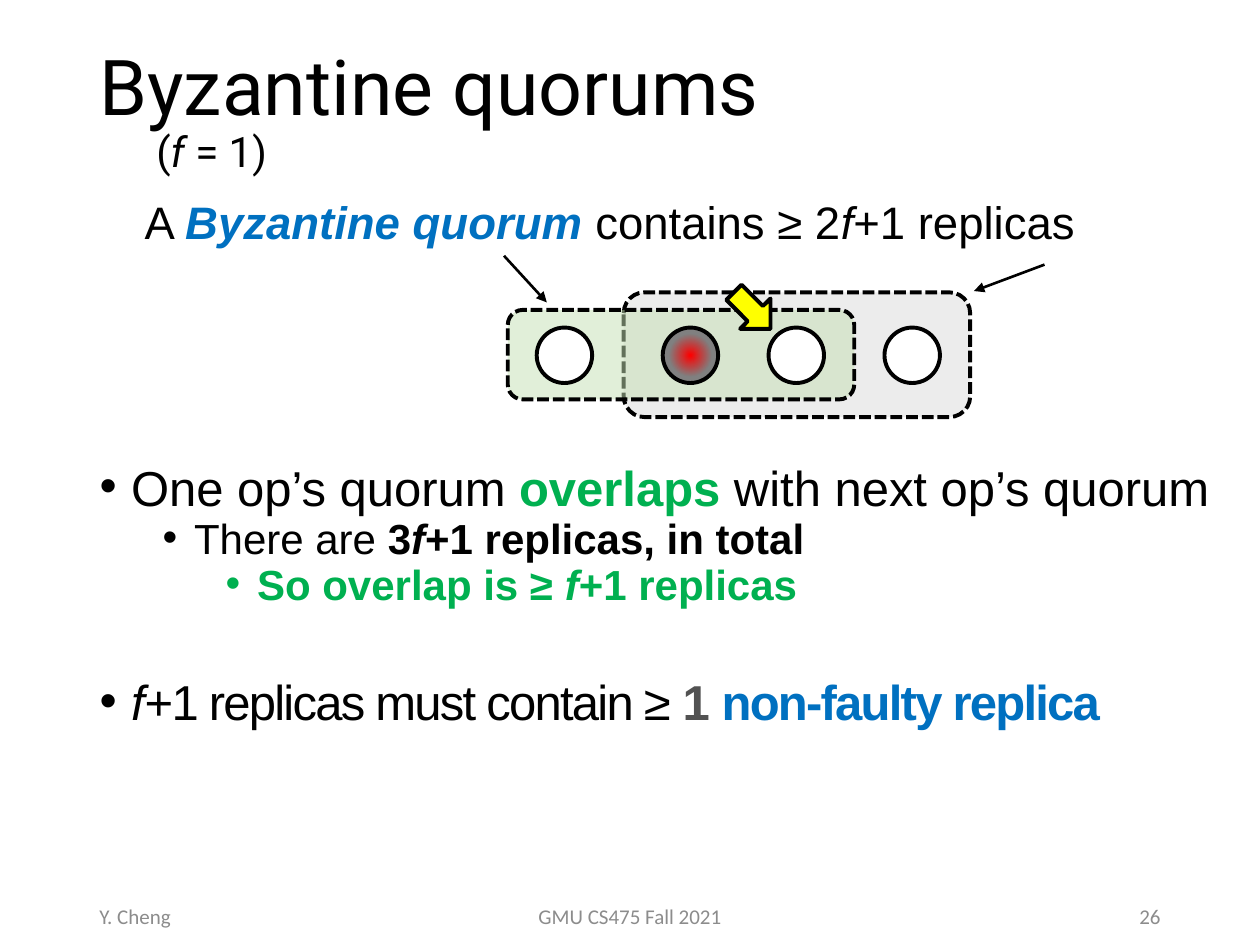
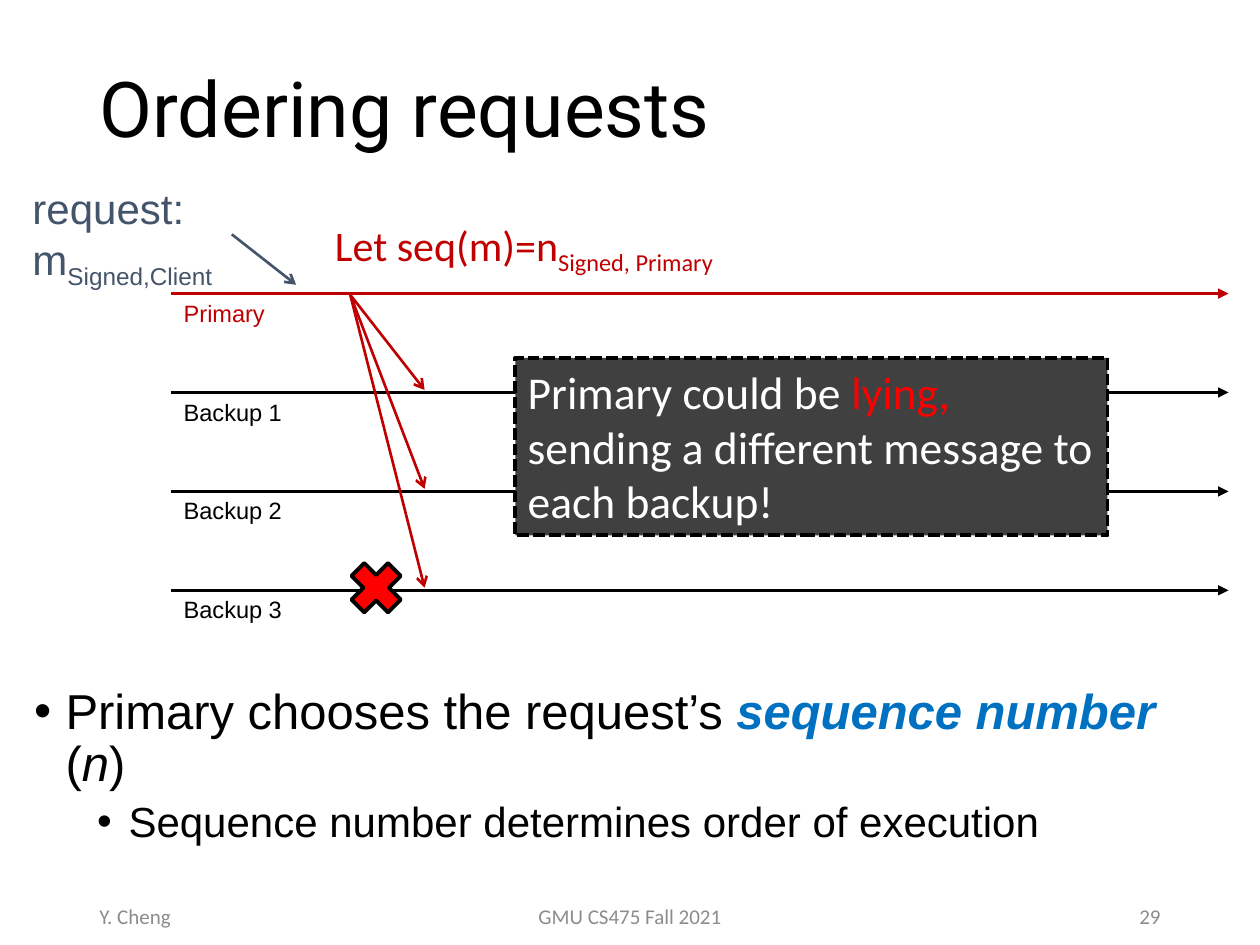
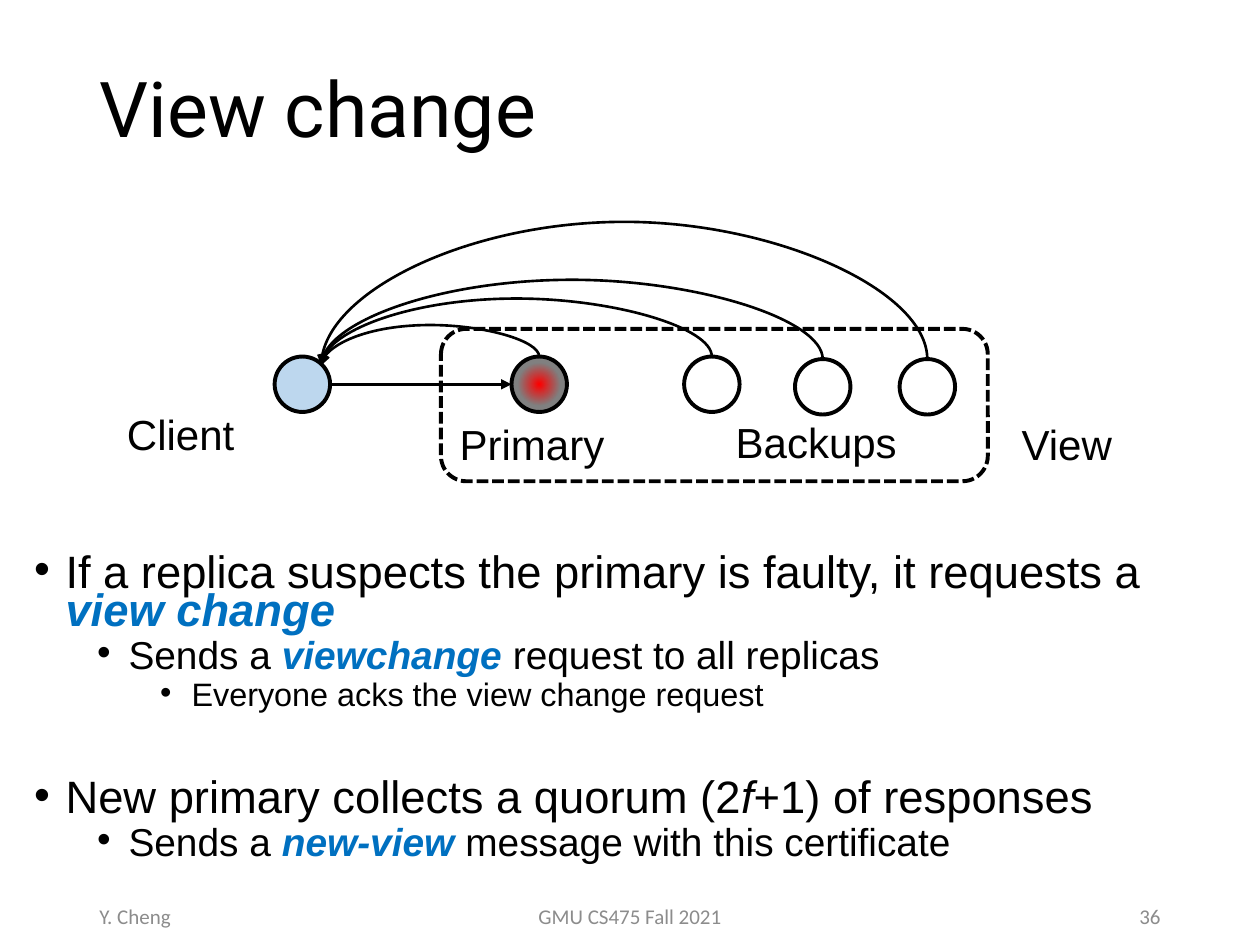
import dataclasses
import pptx
import pptx.util
import pptx.dml.color
import pptx.enum.dml
import pptx.enum.shapes
import pptx.enum.text
import pptx.oxml.ns
import lxml.etree

Pt = pptx.util.Pt
qn = pptx.oxml.ns.qn
Sub = lxml.etree.SubElement
Rgb = pptx.dml.color.RGBColor.from_string
Kind = pptx.enum.shapes.MSO_SHAPE
Link = pptx.enum.shapes.MSO_CONNECTOR
Align = pptx.enum.text.PP_ALIGN
Anchor = pptx.enum.text.MSO_ANCHOR
Fit = pptx.enum.text.MSO_AUTO_SIZE


@dataclasses.dataclass(frozen=True)
class Theme:
    # Colours
    ink: str = "000000"
    paper: str = "FFFFFF"
    blue: str = "0070C0"
    green: str = "00B050"
    iron: str = "525252"
    slate: str = "44546A"
    wine: str = "C00000"
    red: str = "FF0000"
    ash: str = "808080"
    coal: str = "404040"
    mute: str = "8C8C8C"
    sun: str = "FFFF00"
    sky: str = "BDD7EE"
    leaf: str = "C5E0B4"
    fog: str = "DBDBDB"
    # Fonts and type sizes
    head: str = "Roboto"
    text: str = "Arial"
    note: str = "Calibri"
    title: float = 44
    call: float = 26
    label: float = 24
    lane: float = 13.5
    foot: float = 12
    # Line widths
    thin: float = 1.5
    thick: float = 2.25


T = Theme()
ITAL = {"italic": True}
BOLD = {"bold": True}
KEY = {"bold": True, "italic": True, "color": T.blue}
GAIN = {"bold": True, "color": T.green}
TIGHT = {"spc": -100}
SUB = {"baseline": -25000}

deck = pptx.Presentation()
deck.slide_width = pptx.util.Inches(10)
deck.slide_height = pptx.util.Inches(7.5)
unit = deck.slide_width / 10  # grid of 10 columns by 7.5 rows


def write(frame, paras, size, face=T.text, color=T.ink, align=Align.LEFT,
          anchor=Anchor.TOP, wrap=True):
    """Fill a text frame; each paragraph is a list of (text, style) runs."""
    frame.word_wrap = wrap
    frame.auto_size = Fit.NONE if wrap else Fit.SHAPE_TO_FIT_TEXT
    frame.vertical_anchor = anchor
    for i, runs in enumerate(paras):
        para = frame.add_paragraph() if i else frame.paragraphs[0]
        para.alignment = align
        for words, style in runs:
            run = para.add_run()
            run.text = words
            look = {"name": face, "size": Pt(size), "color": color, **style}
            for key, value in look.items():
                if key == "color":
                    run.font.color.rgb = Rgb(value)
                elif key in ("spc", "baseline"):
                    run.font._element.set(key, str(value))
                else:
                    setattr(run.font, key, value)


def draw(slide, kind, at, fill=None, line=T.ink, dash=False, alpha=None, tip=None):
    """Add a text box (kind None), a connector or a shape at grid lengths."""
    spot = [round(v * unit) for v in at]
    if kind is None:
        return slide.shapes.add_textbox(*spot)
    wire = isinstance(kind, Link)
    if wire:
        item = slide.shapes.add_connector(kind, *spot)
    else:
        item = slide.shapes.add_shape(kind, *spot)
        if fill == "glow":
            item.fill.gradient()
            for stop, color, place in zip(item.fill.gradient_stops, (T.red, T.ash), (0, 0.55)):
                stop.color.rgb = Rgb(color)
                stop.position = place
            grad = item._element.spPr.find(qn("a:gradFill"))
            grad.remove(grad.find(qn("a:lin")))
            ring = Sub(grad, qn("a:path"), {"path": "circle"})
            Sub(ring, qn("a:fillToRect"), {side: "50000" for side in "ltrb"})
        elif fill:
            item.fill.solid()
            item.fill.fore_color.rgb = Rgb(fill)
            if alpha:
                tint = item._element.spPr.find(qn("a:solidFill"))[0]
                Sub(tint, qn("a:alpha"), {"val": str(alpha * 1000)})
        else:
            item.fill.background()
    item.line.color.rgb = Rgb(line)
    item.line.width = Pt(T.thin if wire else T.thick)
    if dash:
        item.line.dash_style = pptx.enum.dml.MSO_LINE.SQUARE_DOT
    if tip:
        Sub(item.line._get_or_add_ln(), qn("a:tailEnd"), {"type": tip})
    Sub(item._element.spPr, qn("a:effectLst"))
    return item


# Titles and lists: each point is (level, space before, runs)
pages = [
    dict(
        number="26", lead=0.75, sizes=(28, 24, 24), at=(0.69, 3.69, 9.06, 3.37),
        title=[[("Byzantine quorums", {})],
               [("(", {"size": Pt(24)}), ("f", {"size": Pt(24), **ITAL}),
                (" = 1)", {"size": Pt(24)})]],
        points=[
            (0, 10, [("One op’s quorum ", {}), ("overlaps ", GAIN),
                     ("with next op’s quorum", {})]),
            (1, 5, [("There are ", {}), ("3", BOLD), ("f", {**BOLD, **ITAL}),
                    ("+1 replicas, in total", BOLD)]),
            (2, 5, [("So overlap is ≥ ", GAIN), ("f", {**GAIN, **ITAL}),
                    ("+1 replicas", GAIN)]),
            (0, 44, [("f", {**TIGHT, **ITAL}), ("+1 replicas must contain ≥ ", TIGHT),
                     ("1 ", {**TIGHT, **BOLD, "color": T.iron}),
                     ("non-faulty replica", {**TIGHT, **BOLD, "color": T.blue})]),
        ]),
    dict(
        number="29", lead=0.9, sizes=(28, 24), at=(0.17, 5.4, 9.58, 1.67),
        title=[[("Ordering requests", {})]],
        points=[
            (0, 10, [("Primary chooses the request’s ", {}), ("sequence number ", KEY),
                     ("(", {}), ("n", ITAL), (")", {})]),
            (1, 5, [("Sequence number determines order of execution", {})]),
        ]),
    dict(
        number="36", lead=0.7, sizes=(25.9, 22.2, 18.5), at=(0.17, 4.38, 9.58, 2.68),
        title=[[("View change", {})]],
        points=[
            (0, 10, [("If a replica suspects the primary is faulty, it requests a ", {}),
                     ("view change", KEY)]),
            (1, 5, [("Sends a ", {}), ("viewchange ", KEY),
                    ("request to all replicas", {})]),
            (2, 5, [("Everyone acks the view change request", {})]),
            (0, 41, [("New primary collects a quorum (2", {}), ("f", ITAL),
                     ("+1) of responses", {})]),
            (1, 5, [("Sends a ", {}), ("new-view ", KEY),
                    ("message with this certificate", {})]),
        ]),
]

for page in pages:
    slide = deck.slides.add_slide(deck.slide_layouts[1])
    title, body = slide.placeholders
    for item, at in ((title, (0.69, 0.17, 8.62, 1.45)), (body, page["at"])):
        item.left, item.top, item.width, item.height = [round(v * unit) for v in at]

    write(title.text_frame, page["title"], T.title, T.head, anchor=Anchor.MIDDLE)
    for i, para in enumerate(title.text_frame.paragraphs):
        para.line_spacing = 0.9
        para.space_before = Pt(0)
        para._p.get_or_add_pPr().set("marL", str(round(0.45 * i * unit)))

    write(body.text_frame, [runs for level, gap, runs in page["points"]], page["sizes"][0])
    for para, (level, gap, runs) in zip(body.text_frame.paragraphs, page["points"]):
        para.level = level
        para.line_spacing = page["lead"]
        para.space_before = Pt(gap)
        for run in para.runs:
            run.font.size = Pt(page["sizes"][level])
        props = para._p.get_or_add_pPr()
        props.set("marL", str(round((0.25 + 0.5 * level) * unit)))
        props.set("indent", str(round(-0.25 * unit)))
        Sub(props, qn("a:buFont"), {"typeface": T.text})
        Sub(props, qn("a:buChar"), {"char": "•"})

    # Footer band
    for words, left, width, align in (("Y. Cheng", 0.69, 2.25, Align.LEFT),
                                      ("GMU CS475 Fall 2021", 3.31, 3.38, Align.CENTER),
                                      (page["number"], 7.06, 2.25, Align.RIGHT)):
        box = draw(slide, None, (left, 7.07, width, 0.4))
        write(box.text_frame, [[(words, {})]], T.foot, T.note, T.mute, align, Anchor.MIDDLE)

quorum, order, view = deck.slides
dot = 0.44  # replica circle

# Slide 1: two overlapping quorums
box = draw(quorum, None, (1.05, 1.49, 7.65, 0.54))
write(box.text_frame, [[("A ", {}), ("Byzantine quorum ", KEY), ("contains ≥ 2", {}),
                        ("f", ITAL), ("+1 replicas", {})]], T.call, wrap=False)
for at, fill, ray in (((4.95, 2.32, 2.75, 0.99), T.fog, (8.29, 2.1, 7.73, 2.31)),
                      ((4.03, 2.46, 2.75, 0.71), T.leaf, (4, 2.03, 4.34, 2.4))):
    draw(quorum, Kind.ROUNDED_RECTANGLE, at, fill, dash=True, alpha=50)
    draw(quorum, Link.STRAIGHT, ray, tip="triangle")
for left, fill in ((4.26, T.paper), (5.26, "glow"), (6.1, T.paper), (7.02, T.paper)):
    draw(quorum, Kind.OVAL, (left, 2.6, dot, dot), fill)
arrow = draw(quorum, Kind.UP_ARROW, (5.8, 2.26, 0.34, 0.41), T.sun)
arrow.rotation = 135

# Slide 2: one time line per replica
first, step = 2.33, 0.785
lanes = [first + step * i for i in range(4)]
for i, lane in enumerate(lanes):
    color = T.ink if i else T.wine
    draw(order, Link.STRAIGHT, (1.36, lane, 9.75, lane), line=color, tip="triangle")
    box = draw(order, None, (1.36, lane - 0.01, 1.45, 0.44))
    write(box.text_frame, [[(f"Backup {i}" if i else "Primary", {})]], T.lane,
          color=color, wrap=False)

# Client request and the primary's messages
box = draw(order, None, (0.16, 1.4, 1.94, 0.91))
write(box.text_frame, [[("request:", {})], [("m", {}), ("Signed,Client", SUB)]],
      T.label, color=T.slate, wrap=False)
draw(order, Link.STRAIGHT, (1.84, 1.86, 2.35, 2.26), line=T.slate, tip="arrow")
cross = draw(order, Kind.CROSS, (2.78, 4.46, 0.41, 0.41), T.red)
cross.adjustments[0] = 0.325
cross.rotation = 45
for lane in lanes[1:]:
    draw(order, Link.STRAIGHT, (2.78, first + 0.01, 3.37, lane - 0.02),
         line=T.wine, tip="arrow")
box = draw(order, None, (2.56, 1.69, 4.11, 0.5))
write(box.text_frame, [[("Let seq(m)=n", {}), ("Signed, Primary", SUB)]],
      T.label, T.note, T.wine, wrap=False)

# Warning
warn = draw(order, Kind.RECTANGLE, (4.09, 2.84, 4.7, 1.41), T.coal, dash=True)
write(warn.text_frame, [[("Primary could be ", {}), ("lying,", {"color": T.red}),
                         (" sending a different message to each backup!", {})]],
      T.call, T.note, T.paper)

# Slide 3: client, primary and backups, with the crest of each reply
nodes = [(2.18, 2.83, T.sky, None), (4.06, 2.83, "glow", 2.58), (5.43, 2.83, T.paper, 2.37),
         (6.31, 2.85, T.paper, 2.22), (7.14, 2.85, T.paper, 1.76)]
for left, top, fill, crest in nodes:
    draw(view, Kind.OVAL, (left, top, dot, dot), fill)
draw(view, Kind.ROUNDED_RECTANGLE, (3.5, 2.61, 4.34, 1.21), dash=True)
goal, floor = 2.55, 2.9
for left, top, fill, crest in nodes[1:]:
    start = left + dot / 2
    drop, span = floor - top, start - goal
    x, y = (start + goal - drop) / 2, (top + floor - span) / 2
    curve = draw(view, Link.CURVE, (x, y, x + drop, y + span), tip="triangle")
    props = curve._element.spPr
    for key, value in (("rot", "16200000"), ("flipH", "1"), ("flipV", "1")):
        props.xfrm.set(key, value)
    bend = round((crest - top) / drop * 100000)
    Sub(props.find(qn("a:prstGeom")).find(qn("a:avLst")), qn("a:gd"),
        {"name": "adj1", "fmla": f"val {bend}"})
draw(view, Link.STRAIGHT, (2.62, 3.05, 4.06, 3.05), tip="triangle")
for words, left, top, width in (("Client", 0.91, 3.19, 1.14), ("Primary", 3.55, 3.27, 1.46),
                                ("Backups", 5.74, 3.26, 1.61), ("View", 8.01, 3.27, 0.96)):
    box = draw(view, None, (left, top, width, 0.5))
    write(box.text_frame, [[(words, {})]], T.label, wrap=False)

deck.save("out.pptx")
